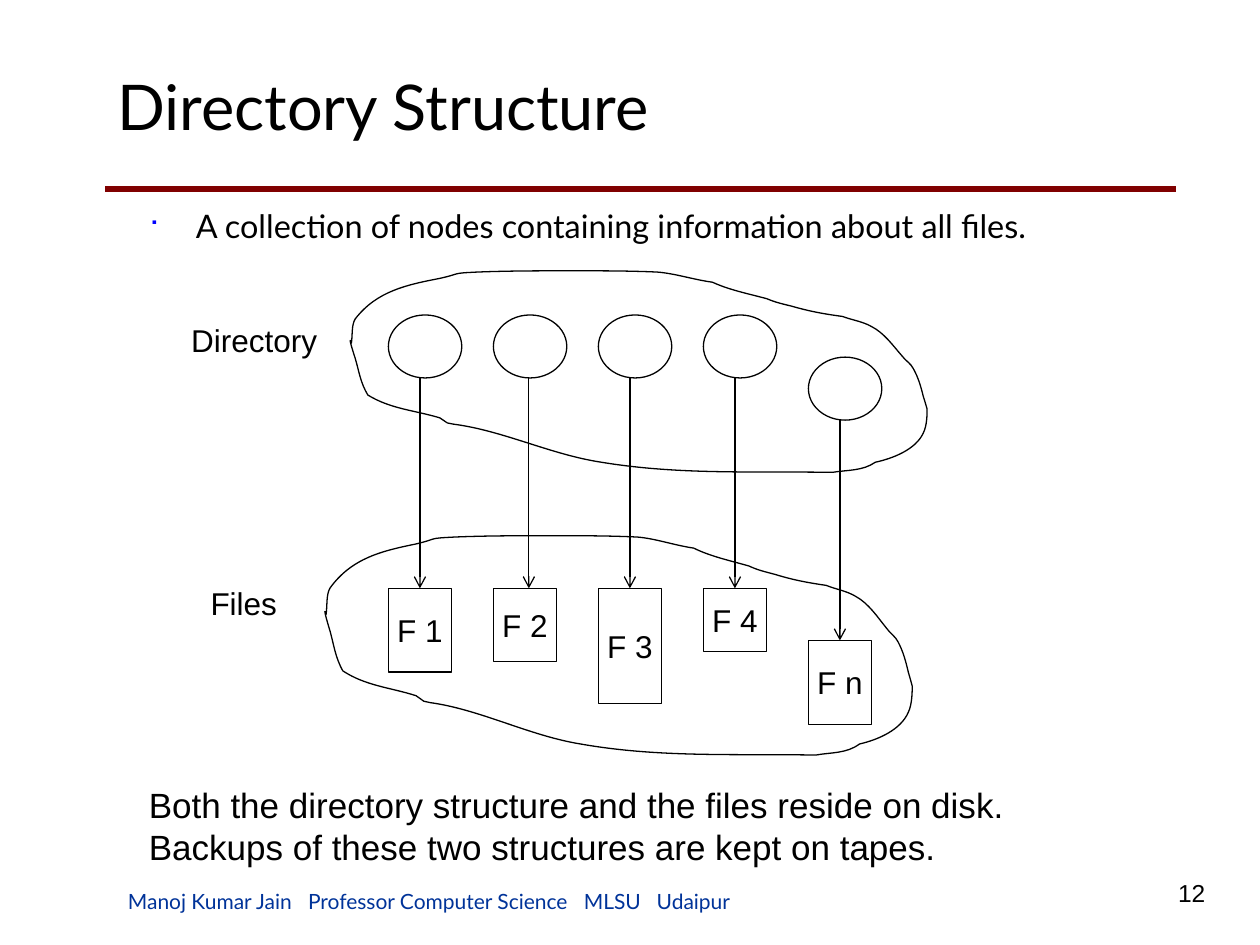
"""Build the directory structure slide."""
import pptx
import pptx.util
import pptx.dml.color
import pptx.enum.shapes
import pptx.enum.text
import pptx.oxml
import pptx.oxml.ns

Cm, Pt = pptx.util.Cm, pptx.util.Pt
RGBColor = pptx.dml.color.RGBColor
Kind = pptx.enum.shapes.MSO_SHAPE
Link = pptx.enum.shapes.MSO_CONNECTOR
Align = pptx.enum.text.PP_ALIGN
Anchor = pptx.enum.text.MSO_ANCHOR
qn = pptx.oxml.ns.qn

BLACK = RGBColor(0x00, 0x00, 0x00)
WHITE = RGBColor(0xFF, 0xFF, 0xFF)
BLUE = RGBColor(0x00, 0x00, 0xFF)
MAROON = RGBColor(0x80, 0x00, 0x00)
NAVY = RGBColor(0x00, 0x33, 0x99)

TITLE = "Directory Structure"
POINT = "A collection of nodes containing information about all files."
NOTES = ["Both the directory structure and the files reside on disk.",
         "Backups of these two structures are kept on tapes."]
FOOTER = ["Manoj Kumar Jain", "Professor Computer Science", "MLSU", "Udaipur"]
STOPS = [3.63, 9.19, 10.66]
PAGE = "12"
LABELS = [("Directory", (3.6, 6.35, 3.05, 1.02)), ("Files", (3.99, 11.65, 1.85, 1.02))]

FILES = [
    ("F 1", 6.35, 11.86, 1.69, 0),
    ("F 2", 6.35, 11.86, 1.48, 0.08),
    ("F 3", 6.35, 11.86, 2.33, 0),
    ("F 4", 6.35, 11.86, 1.27, 0),
    ("F n", 7.2, 12.91, 1.69, 0),
]
LEFT, STEP = 7.83, 25.4 / 12
NODE_W, NODE_H, FILE_W = 1.48, 1.27, 1.27

CLOUDS = [(7.06, 5.46, 11.63, 4.09), (6.55, 10.8, 11.84, 4.45)]
SPAN = (457, 160)
START = (1, 57)
CURVES = [
    (2, 50, 1, 43, 4, 38), (21, 16, 45, 11, 71, 6), (89, 2, 79, 2, 101, 1),
    (126, 0, 151, 0, 177, 0), (199, 0, 221, 0, 243, 1), (257, 2, 272, 7, 287, 9),
    (300, 15, 315, 18, 330, 22), (337, 25, 342, 26, 350, 28), (364, 32, 375, 34, 390, 36),
    (398, 39, 406, 40, 413, 44), (423, 49, 430, 59, 437, 67), (440, 71, 444, 73, 446, 77),
    (450, 84, 452, 91, 454, 99), (455, 102, 457, 109, 457, 109),
    (457, 113, 457, 122, 454, 128), (448, 141, 430, 148, 416, 151),
    (406, 158, 394, 157, 382, 159), (318, 158, 260, 161, 199, 151),
    (159, 145, 121, 126, 82, 121), (80, 121, 79, 120, 77, 120),
    (75, 119, 73, 117, 71, 116), (51, 110, 32, 109, 14, 98),
    (8, 88, 7, 79, 4, 69), (4, 69, 0, 57, 0, 55), (0, 54, 1, 56, 1, 57),
]


def make(tag, body="", **attrs):
    """Return a drawing element."""
    pairs = " ".join(f'{key}="{value}"' for key, value in attrs.items())
    space = pptx.oxml.ns.nsdecls("a")
    return pptx.oxml.parse_xml(f"<a:{tag} {space} {pairs}>{body}</a:{tag}>")


def write(shape, lines, size, face="Arial", color=BLACK, align=Align.LEFT,
          anchor=Anchor.TOP, wrap=True, extras=()):
    """Fill a shape with paragraphs of one style."""
    frame = shape.text_frame
    frame.word_wrap = wrap
    frame.vertical_anchor = anchor
    frame.text = "\n".join(lines)
    for par in frame.paragraphs:
        par.alignment = align
        for node in extras:
            par._p.get_or_add_pPr().append(node)
        font = par.font
        font.size, font.name, font.color.rgb = Pt(size), face, color


def label(slide, box, lines, size, **style):
    """Add a text box and return it."""
    shape = slide.shapes.add_textbox(*map(Cm, box))
    write(shape, lines, size, **style)
    return shape


def edge(shape, color=BLACK, width=0.75):
    """Set the outline of a shape."""
    shape.line.color.rgb = color
    shape.line.width = Pt(width)


def block(slide, kind, *box):
    """Add a white shape with a thin black edge."""
    shape = slide.shapes.add_shape(kind, *map(Cm, box))
    shape.shadow.inherit = False
    shape.fill.solid()
    shape.fill.fore_color.rgb = WHITE
    edge(shape)
    return shape


def rule(slide, ends, color=BLACK, width=0.75, arrow=False):
    """Add a straight line, with an arrowhead on request."""
    line = slide.shapes.add_connector(Link.STRAIGHT, *map(Cm, ends))
    edge(line, color, width)
    props = line._element.spPr
    if arrow:
        props.find(qn("a:ln")).append(make("tailEnd", type="arrow"))
    props.append(make("effectLst"))


def cloud(slide, left, top, width, height):
    """Draw the curved cloud outline within a box."""
    def place(x, y):
        return Cm(x / SPAN[0] * width), Cm(y / SPAN[1] * height)

    path = slide.shapes.build_freeform(*place(*START))
    path.add_line_segments([place(*curve[4:]) for curve in CURVES], close=True)
    shape = path.convert_to_shape(Cm(left), Cm(top))
    steps = list(shape._element.iter(qn("a:lnTo")))
    for step, curve in zip(steps, CURVES):
        spots = [place(*curve[i:i + 2]) for i in (0, 2, 4)]
        body = "".join(f'<a:pt x="{x}" y="{y}"/>' for x, y in spots)
        step.getparent().replace(step, make("cubicBezTo", body))
    shape.shadow.inherit = False
    shape.fill.background()
    edge(shape)


def main():
    """Lay out the slide and save it."""
    deck = pptx.Presentation()
    deck.slide_width, deck.slide_height = Cm(25.4), Cm(19.05)
    slide = deck.slides.add_slide(deck.slide_layouts[6])

    rule(slide, (2.12, 3.81, 23.71, 3.81), MAROON, 3)
    tabs = "".join(f'<a:tab pos="{Cm(stop)}" algn="l"/>' for stop in STOPS)
    label(slide, (2.33, 17.78, 18.63, 0.76), ["\t".join(FOOTER)], 12, face="Lato",
          color=NAVY, anchor=Anchor.BOTTOM, extras=[make("tabLst", tabs)])
    label(slide, (22.86, 17.57, 1.69, 0.85), [PAGE], 14, align=Align.RIGHT)
    label(slide, (2.12, 0.85, 19.69, 2.54), [TITLE], 36, face="Lato", anchor=Anchor.MIDDLE)
    body = label(slide, (2.75, 4.03, 21.17, 1.06), [POINT], 18.5, face="Lato", extras=[
        make("buClr", f'<a:srgbClr val="{BLUE}"/>'), make("buSzPct", val=75000),
        make("buFont", typeface="Wingdings"), make("buChar", char="■")])
    props = body.text_frame.paragraphs[0]._p.pPr
    props.set("marL", str(Cm(0.95)))
    props.set("indent", str(Cm(-0.95)))

    for i, (name, node, top, height, shift) in enumerate(FILES):
        left = LEFT + i * STEP
        block(slide, Kind.OVAL, left, node, NODE_W, NODE_H)
        card = block(slide, Kind.RECTANGLE, left, top, FILE_W, height)
        write(card, [name], 18, align=Align.CENTER, anchor=Anchor.MIDDLE, wrap=False)
        mid = left + FILE_W / 2 + shift
        rule(slide, (mid, node + NODE_H, mid, top), arrow=True)

    for box in CLOUDS:
        cloud(slide, *box)
    for text, box in LABELS:
        label(slide, box, [text], 18, align=Align.CENTER, anchor=Anchor.MIDDLE, wrap=False)
    label(slide, (2.75, 15.67, 19.53, 1.07), NOTES, 20)
    deck.save("out.pptx")


if __name__ == "__main__":
    main()
